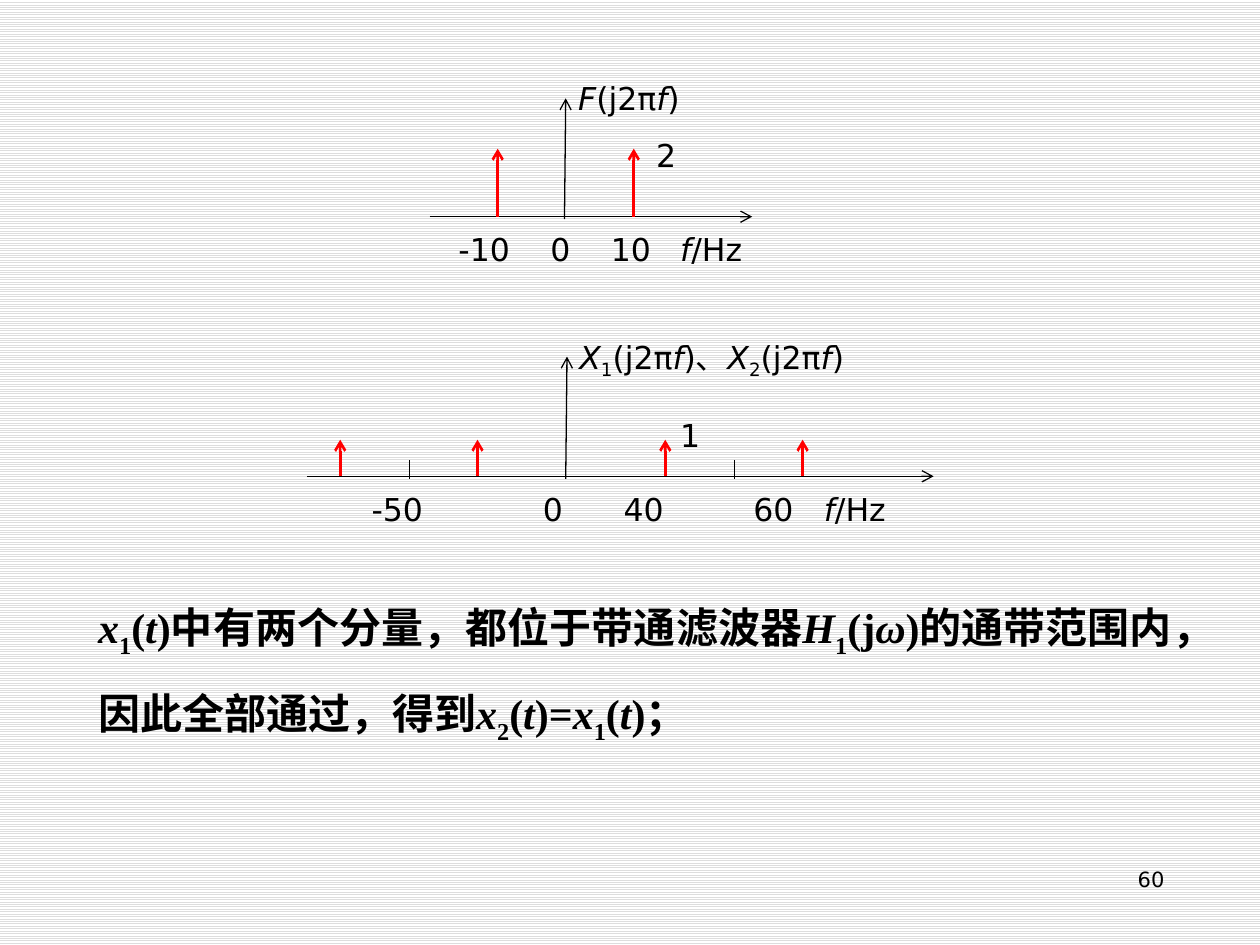
"""Build a slide with two line spectra and the conclusion about the filter output."""
from lxml import etree
from pptx import Presentation
from pptx.dml.color import RGBColor
from pptx.enum.dml import MSO_PATTERN
from pptx.enum.shapes import MSO_CONNECTOR
from pptx.enum.text import PP_ALIGN
from pptx.oxml.ns import qn
from pptx.util import Inches, Pt

STRAIGHT = MSO_CONNECTOR.STRAIGHT
STRIPES = MSO_PATTERN.LIGHT_HORIZONTAL
LEFT, RIGHT, JUSTIFY = PP_ALIGN.LEFT, PP_ALIGN.RIGHT, PP_ALIGN.JUSTIFY
BLACK, RED = "000000", "FF0000"
SANS, SERIF = "DejaVu Sans", "Times New Roman"

deck = Presentation()
deck.slide_width, deck.slide_height = Inches(10), Inches(7.5)
column, row = deck.slide_width / 100, deck.slide_height / 75
slide = deck.slides.add_slide(deck.slide_layouts[6])

backdrop = slide.background.fill
backdrop.patterned()
backdrop.pattern = STRIPES
backdrop.fore_color.rgb = RGBColor.from_string("DDDDDD")
backdrop.back_color.rgb = RGBColor.from_string("FFFFFF")


def draw_line(x1, y1, x2, y2, color=BLACK, weight=0.75, arrow=True):
    """Draw a straight line, with an open arrowhead at its end if wanted."""
    line = slide.shapes.add_connector(
        STRAIGHT, int(x1 * column), int(y1 * row), int(x2 * column), int(y2 * row))
    line.line.color.rgb = RGBColor.from_string(color)
    line.line.width = Pt(weight)
    properties = line._element.spPr
    if arrow:
        etree.SubElement(properties.find(qn("a:ln")), qn("a:tailEnd"), type="arrow")
    etree.SubElement(properties, qn("a:effectLst"))


def write(markup, x, y, width, height=4, size=18, face=SANS, bold=False,
          align=LEFT, spacing=1.0, stops=()):
    """Write runs parted by |, where ~ marks italics and _ a subscript."""
    frame = slide.shapes.add_textbox(
        int(x * column), int(y * row), int(width * column), int(height * row)).text_frame
    frame.word_wrap = True
    paragraph = frame.paragraphs[0]
    paragraph.alignment, paragraph.line_spacing = align, spacing
    if stops:
        tabs = etree.SubElement(paragraph._p.get_or_add_pPr(), qn("a:tabLst"))
        for stop in stops:
            etree.SubElement(tabs, qn("a:tab"), pos=str(int(stop * column)), algn="l")
    for piece in markup.split("|"):
        run = paragraph.add_run()
        run.text = piece.lstrip("~_")
        style = {"name": face, "size": Pt(size), "bold": bold, "italic": piece[0] == "~"}
        for attribute, value in style.items():
            setattr(run.font, attribute, value)
        run.font.color.rgb = RGBColor.from_string(BLACK)
        if piece[0] == "_":
            run._r.get_or_add_rPr().set("baseline", "-25000")


spectra = [
    {"base": 17.2, "axis": (34.1, 59.7), "origin": 44.8, "top": 7.8,
     "impulses": (39.5, 50.3), "height": 5.4, "ticks": (),
     "scale": ("-10\t0\t10\t|~f|/Hz", 35.4, 27.8, (7.3, 12.1, 17.6)),
     "title": ("~F|(j2π|~f|)", 44.9, 5.8, 10.1), "strength": ("2", 51.1, 10.3, 6.2)},
    {"base": 37.8, "axis": (24.4, 74.1), "origin": 44.9, "top": 28.3,
     "impulses": (27, 37.9, 52.8, 63.7), "height": 2.9, "ticks": (32.5, 58.3),
     "scale": ("-50\t0\t40\t60\t|~f|/Hz", 28.5, 46.8, (13.6, 20, 30.3, 35.9)),
     "title": ("~X|_1|(j2π|~f|)、|~X|_2|(j2π|~f|)", 45, 26.3, 23),
     "strength": ("1", 53, 32.5, 4.7)},
]

for spectrum in spectra:
    base, origin = spectrum["base"], spectrum["origin"]
    start, end = spectrum["axis"]
    draw_line(start, base, end, base)
    draw_line(origin, base + 0.2, origin + 0.1, spectrum["top"])
    for frequency in spectrum["impulses"]:
        draw_line(frequency, base, frequency, base - spectrum["height"], RED, 1.5)
    for tick in spectrum["ticks"]:
        draw_line(tick, base + 0.2, tick, base - 1.3, arrow=False)
    scale, left, width, stops = spectrum["scale"]
    write(scale, left, base + 0.6, width, stops=stops)
    write(*spectrum["title"])
    write(*spectrum["strength"])

write("~x|_1|(|~t|)中有两个分量，都位于带通滤波器|~H|_1|(j|~ω|)的通带范围内，因此全部通过，得到"
      "|~x|_2|(|~t|)=|~x|_1|(|~t|)；",
      6.8, 45, 87.2, 13.1, size=24, face=SERIF, bold=True, align=JUSTIFY, spacing=1.5)
write("60", 71.7, 68.3, 21.7, 5.2, size=12, align=RIGHT)

deck.save("out.pptx")
